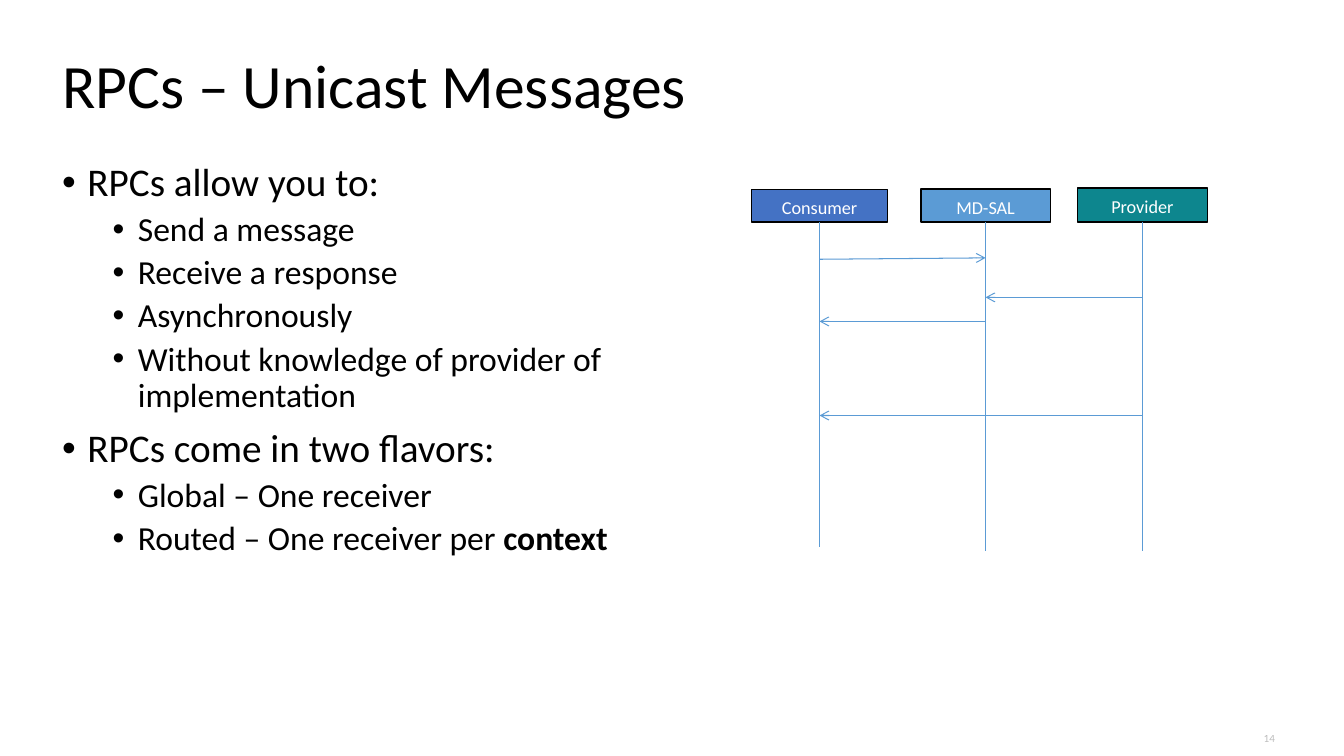
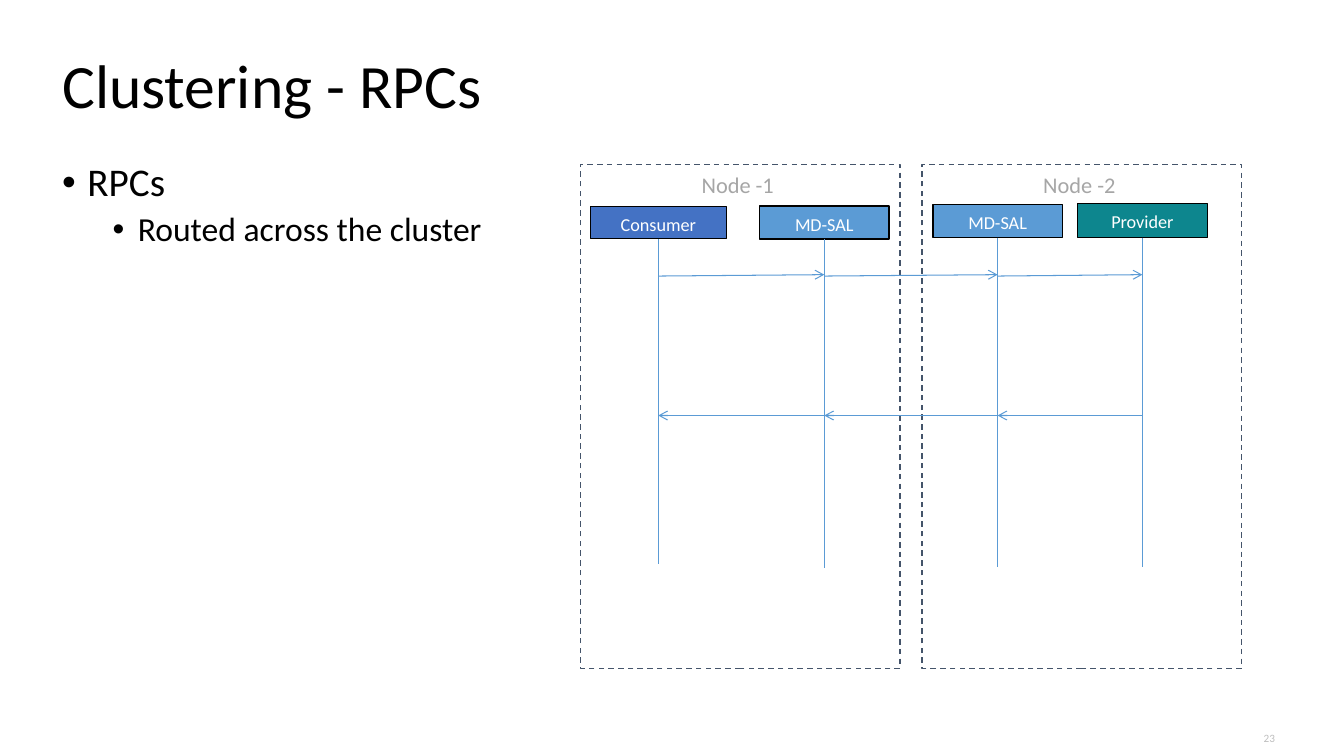
from dataclasses import dataclass

from lxml import etree
from pptx import Presentation, util as u
from pptx.dml import color
from pptx.enum import dml, shapes, text
from pptx.oxml import ns


@dataclass(frozen=True)
class Theme:
    font: str = "Calibri"
    ink: str = "000000"
    white: str = "FFFFFF"
    blue: str = "4472C4"
    sky: str = "5B9BD5"
    teal: str = "0D868E"
    slate: str = "44546A"
    gray: str = "A6A6A6"
    title: int = 44
    points: tuple = (28, 24)
    node: int = 16
    label: int = 13
    page: int = 8
    thin: float = 0.75
    edge: float = 1


THEME = Theme()
ALIGN = text.PP_ALIGN
ANCHOR = text.MSO_ANCHOR
SNUG = (9.4, 5)
LOOSE = (7.2, 3.6)

# Role: box width, box height, lifeline length, fill
ROLES = {
    "Consumer": (97.2, 23.2, 232, THEME.blue),
    "MD-SAL": (92.4, 23.6, 235, THEME.sky),
    "Provider": (93, 24.4, 235.2, THEME.teal),
}


def rgb(code):
    return color.RGBColor.from_string(code)


def sub(parent, tag, **attrs):
    """Append a drawing element to an XML parent."""
    return etree.SubElement(parent, ns.qn(tag), attrs)


def write(par, words, size, ink=THEME.ink, bold=False, alpha=None):
    """Add one formatted run to a paragraph."""
    run = par.add_run()
    run.text = words
    font = run.font
    font.name, font.size, font.bold = THEME.font, u.Pt(size), bold
    font.color.rgb = rgb(ink)
    if alpha is not None:
        for tint in run._r.iter(ns.qn("a:srgbClr")):
            sub(tint, "a:alpha", val=str(alpha * 1000))


def setup(frame, pads, anchor):
    frame.word_wrap = True
    frame.vertical_anchor = anchor
    frame.margin_left = frame.margin_right = u.Pt(pads[0])
    frame.margin_top = frame.margin_bottom = u.Pt(pads[1])


class Deck:
    def __init__(self):
        self.prs = Presentation()
        self.prs.slide_width = u.Pt(960)
        self.prs.slide_height = u.Pt(540)
        self.slide = None

    def page(self, title, number):
        """Start a slide with its title and page number."""
        self.slide = self.prs.slides.add_slide(self.prs.slide_layouts[6])
        frame = self.field(37.4, 23, 893.6, 80.6, anchor=ANCHOR.MIDDLE)
        par = frame.paragraphs[0]
        par.line_spacing = 0.9
        write(par, title, THEME.title)
        frame = self.field(882.8, 512.6, 37.4, 28.8, SNUG, ANCHOR.MIDDLE)
        par = frame.paragraphs[0]
        par.alignment = ALIGN.RIGHT
        write(par, str(number), THEME.page, alpha=25)

    def field(self, x, y, w, h, pads=LOOSE, anchor=ANCHOR.TOP):
        """Add an empty text box and return its frame."""
        box = self.slide.shapes.add_textbox(*map(u.Pt, (x, y, w, h)))
        setup(box.text_frame, pads, anchor)
        return box.text_frame

    def points(self, items):
        """Add bullets given as (level, words, optional bold ending)."""
        frame = self.field(37.4, 113, 432, 363)
        for i, (level, words, *strong) in enumerate(items):
            par = frame.add_paragraph() if i else frame.paragraphs[0]
            par.level = level
            par.line_spacing = 0.9
            par.space_before = u.Pt((10, 5)[level])
            props = par._p.get_or_add_pPr()
            props.set("marL", str(u.Pt(18 + 36 * level)))
            props.set("indent", str(u.Pt(-18)))
            sub(props, "a:buFont", typeface="Arial")
            sub(props, "a:buChar", char="•")
            size = THEME.points[level]
            write(par, words, size)
            for word in strong:
                write(par, word, size, bold=True)

    def box(self, x, y, w, h, words, size, ink, fill=None, line=THEME.ink):
        """Add a captioned rectangle; without a fill its edge is dashed."""
        kind = shapes.MSO_SHAPE.RECTANGLE
        rect = self.slide.shapes.add_shape(kind, *map(u.Pt, (x, y, w, h)))
        rect.shadow.inherit = False
        rect.line.color.rgb = rgb(line)
        rect.line.width = u.Pt(THEME.edge)
        if fill:
            rect.fill.solid()
            rect.fill.fore_color.rgb = rgb(fill)
        else:
            rect.fill.background()
            rect.line.dash_style = dml.MSO_LINE.DASH
        setup(rect.text_frame, SNUG, ANCHOR.TOP)
        par = rect.text_frame.paragraphs[0]
        par.alignment = ALIGN.CENTER
        write(par, words, size, ink)

    def node(self, x, words):
        self.box(x, 117.4, 228.4, 360, words, THEME.node, THEME.gray,
                 line=THEME.slate)

    def line(self, x1, y1, x2, y2, arrow=False):
        kind = shapes.MSO_CONNECTOR.STRAIGHT
        link = self.slide.shapes.add_connector(
            kind, *map(u.Pt, (x1, y1, x2, y2)))
        link.line.color.rgb = rgb(THEME.sky)
        link.line.width = u.Pt(THEME.thin)
        if arrow:
            sub(link.line._get_or_add_ln(), "a:tailEnd", type="arrow")
        sub(link.element.spPr, "a:effectLst")

    def lane(self, role, mid, foot):
        """Add a role box standing on foot, with its lifeline below."""
        w, h, span, fill = ROLES[role]
        self.box(mid - w / 2, foot - h, w, h, role, THEME.label,
                 THEME.white, fill)
        self.line(mid, foot, mid, foot + span)

    def send(self, start, end, y, rise=0):
        """Add a message arrow between two lanes."""
        self.line(start, y, end, y - rise, arrow=True)


def unicast(deck):
    deck.page("RPCs – Unicast Messages", 14)
    deck.points([
        (0, "RPCs allow you to:"),
        (1, "Send a message"),
        (1, "Receive a response"),
        (1, "Asynchronously"),
        (1, "Without knowledge of provider of implementation"),
        (0, "RPCs come in two flavors:"),
        (1, "Global – One receiver"),
        (1, "Routed – One receiver per ", "context"),
    ])
    user, hub, host = mids = (585.4, 704, 816)
    for role, mid in zip(ROLES, mids):
        deck.lane(role, mid, 158.6)
    deck.send(user, hub, 185.2, rise=1)
    deck.send(host, hub, 212.4)
    deck.send(hub, user, 229.6)
    deck.send(host, user, 296.8)


def cluster(deck):
    deck.page("Clustering - RPCs", 23)
    deck.points([(0, "RPCs"), (1, "Routed across the cluster")])
    deck.node(414.6, "Node -1 ")
    deck.node(658.6, "Node -2 ")
    lanes = [("Consumer", 470.2, 170.6), ("MD-SAL", 588.8, 170.6),
             ("MD-SAL", 712.6, 169.8), ("Provider", 816, 169.8)]
    for lane in lanes:
        deck.lane(*lane)
    for (_, left, _), (_, right, _) in zip(lanes, lanes[1:]):
        deck.send(left, right, 197.2, rise=1)
        deck.send(right, left, 296.8)


def main():
    deck = Deck()
    unicast(deck)
    cluster(deck)
    deck.prs.save("out.pptx")


if __name__ == "__main__":
    main()
